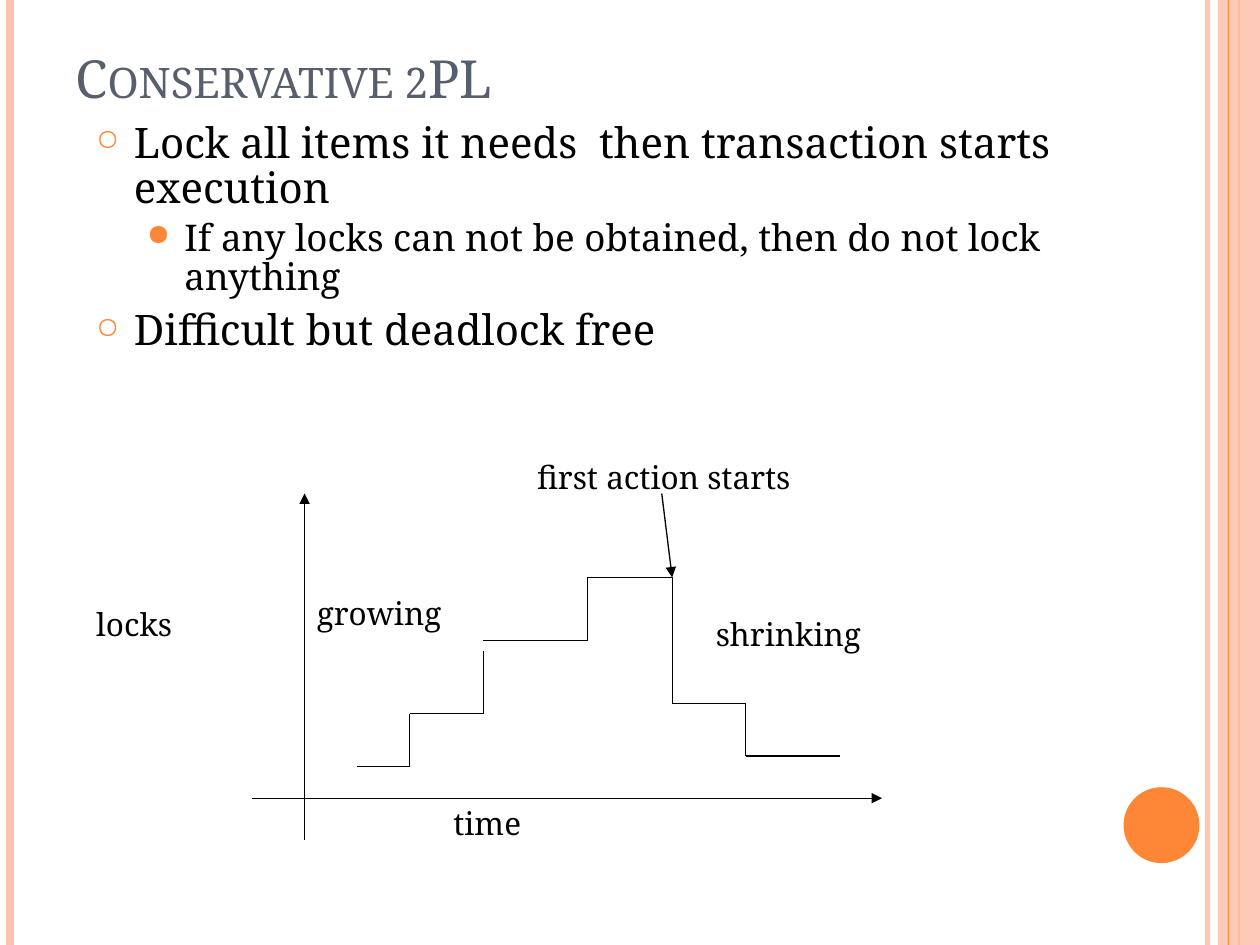
"""Build the Conservative 2PL slide: rules in bullets and a chart of locks held over time."""
from dataclasses import dataclass
from itertools import pairwise

from lxml.etree import SubElement
from pptx import Presentation
from pptx.dml.color import RGBColor
from pptx.enum.shapes import MSO_CONNECTOR as Connector, MSO_SHAPE as Shape
from pptx.enum.text import MSO_ANCHOR as Anchor
from pptx.oxml.ns import qn
from pptx.util import Cm, Pt


@dataclass(frozen=True)
class Theme:
    font: str = "Noto Serif"
    ink: str = "000000"
    heading: str = "575F6D"
    accent: str = "FE8637"
    pale: str = "FEC3AE"
    title_size: int = 30
    label_size: int = 18
    levels: tuple = (
        dict(size=24, before=6, left=0.76, mark="○", mark_size=70),
        dict(size=21, before=4, left=1.78, mark="●", mark_size=80),
    )


theme = Theme()
deck = Presentation()
deck.slide_width, deck.slide_height = Cm(25.4), Cm(19.05)
slide = deck.slides.add_slide(deck.slide_layouts[6])


def write(text, at, size=theme.label_size, color=theme.ink, anchor=Anchor.TOP,
          small_caps=False, levels=()):
    frame = slide.shapes.add_textbox(*map(Cm, at)).text_frame
    frame.word_wrap = True
    frame.vertical_anchor = anchor
    frame.text = text
    for index, paragraph in enumerate(frame.paragraphs):
        font = paragraph.runs[0].font
        font.name, font.size = theme.font, Pt(size)
        font.color.rgb = RGBColor.from_string(color)
        if small_caps:
            paragraph.runs[0]._r.get_or_add_rPr().set("cap", "small")
        if levels:
            style = theme.levels[levels[index]]
            font.size = Pt(style["size"])
            paragraph.level = levels[index]
            paragraph.line_spacing = 0.9
            paragraph.space_before = Pt(style["before"])
            props = paragraph._p.get_or_add_pPr()
            props.set("marL", str(Cm(style["left"])))
            props.set("indent", str(Cm(-0.76)))
            mark_color = SubElement(props, qn("a:buClr"))
            SubElement(mark_color, qn("a:srgbClr"), val=theme.accent)
            SubElement(props, qn("a:buSzPct"), val=str(style["mark_size"] * 1000))
            SubElement(props, qn("a:buChar"), char=style["mark"])


def draw_line(start, end, color=theme.ink, width=0.75, arrow=False, opacity=100):
    line = slide.shapes.add_connector(Connector.STRAIGHT, *map(Cm, start + end))
    line.line.color.rgb = RGBColor.from_string(color)
    line.line.width = Pt(width)
    outline = line.line._get_or_add_ln()
    if opacity < 100:
        SubElement(outline.find(".//" + qn("a:srgbClr")), qn("a:alpha"), val=str(opacity * 1000))
    if arrow:
        SubElement(outline, qn("a:tailEnd"), type="triangle")
    SubElement(line._element.spPr, qn("a:effectLst"))


for x, color, width, opacity in [
    (24.34, theme.pale, 3, 93),
    (0.21, theme.pale, 4.5, 100),
    (24.98, theme.accent, 1.5, 100),
]:
    draw_line((x, 0), (x, 19.05), color=color, width=width, opacity=opacity)

for kind, at, color, opacity in [
    (Shape.RECTANGLE, (24.55, 0, 0.85, 19.05), theme.pale, 87),
    (Shape.OVAL, (22.65, 15.87, 1.53, 1.53), theme.accent, 100),
]:
    ornament = slide.shapes.add_shape(kind, *map(Cm, at))
    ornament.shadow.inherit = False
    ornament.line.fill.background()
    ornament.fill.solid()
    ornament.fill.fore_color.rgb = RGBColor.from_string(color)
    if opacity < 100:
        tint = ornament._element.spPr.find(".//" + qn("a:srgbClr"))
        SubElement(tint, qn("a:alpha"), val=str(opacity * 1000))

draw_line((24.77, 0), (24.77, 19.05), color=theme.accent)

write("Conservative 2PL", (1.27, 0.76, 20.75, 1.57), size=theme.title_size,
      color=theme.heading, anchor=Anchor.BOTTOM, small_caps=True)
write(
    "Lock all items it needs  then transaction starts execution\n"
    "If any locks can not be obtained, then do not lock anything\n"
    "Difficult but deadlock free",
    (1.69, 2.33, 20.75, 13.55), levels=(0, 1, 0),
)

locks_axis = (6.14, 16.93), (6.14, 9.95)
time_axis = (5.08, 16.09), (17.78, 16.09)
first_action = (13.34, 9.95), (13.55, 11.64)
for start, end in (locks_axis, time_axis, first_action):
    draw_line(start, end, arrow=True)

early_growth = [(7.2, 15.45), (8.26, 15.45), (8.26, 14.39), (9.74, 14.39), (9.74, 13.12)]
peak_and_release = [
    (9.74, 12.91), (11.85, 12.91), (11.85, 11.64), (13.55, 11.64),
    (13.55, 14.18), (15.03, 14.18), (15.03, 15.24), (16.93, 15.24),
]
for steps in (early_growth, peak_and_release):
    for start, end in pairwise(steps):
        draw_line(start, end)

for label, left, top, width in [
    ("growing", 6.14, 11.85, 4.66),
    ("shrinking", 14.18, 12.28, 5.29),
    ("locks", 1.69, 12.07, 4.45),
    ("time", 8.89, 16.09, 8.04),
    ("first action starts", 10.58, 9.1, 9.74),
]:
    write(label, (left, top, width, 1.27))

deck.save("out.pptx")
